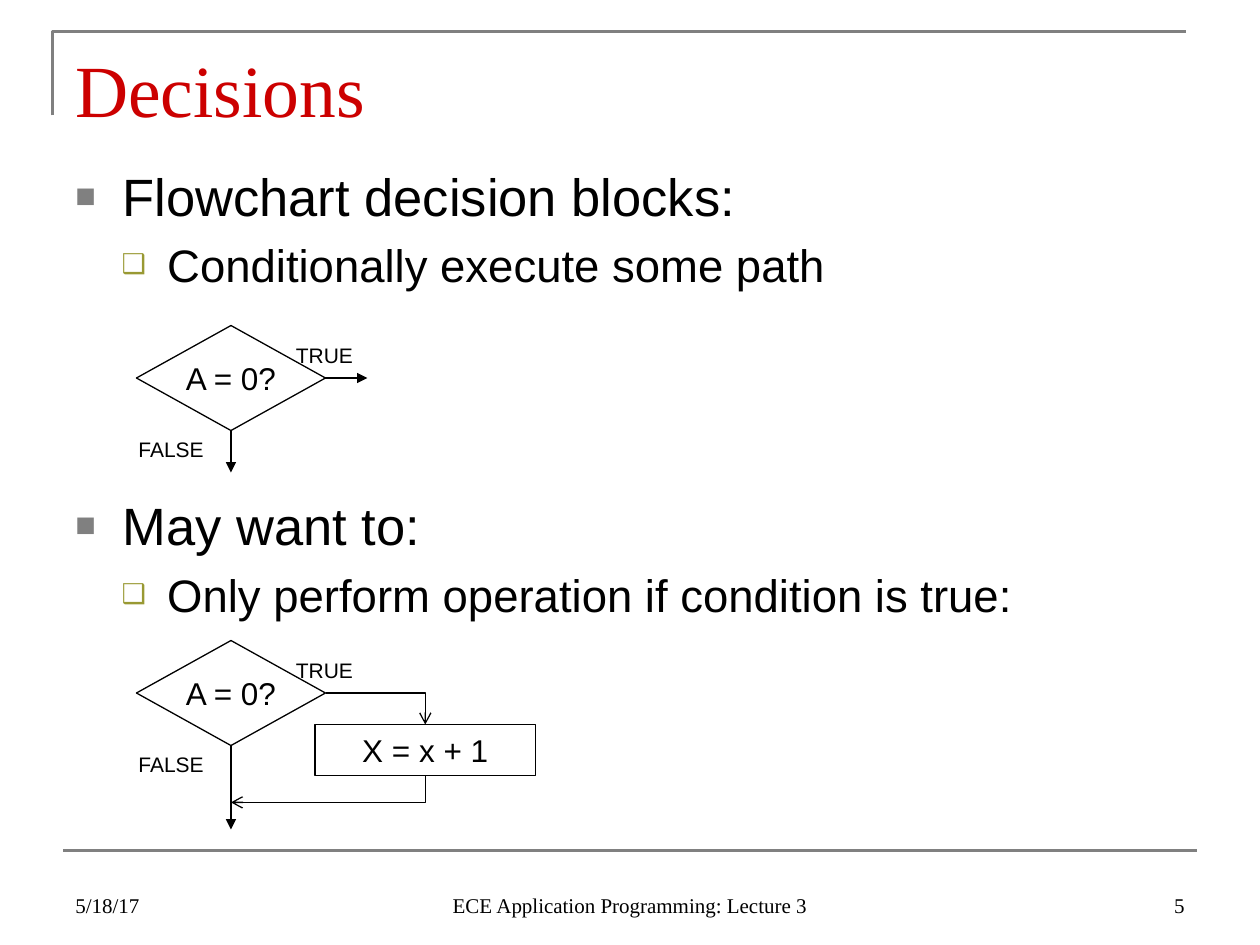
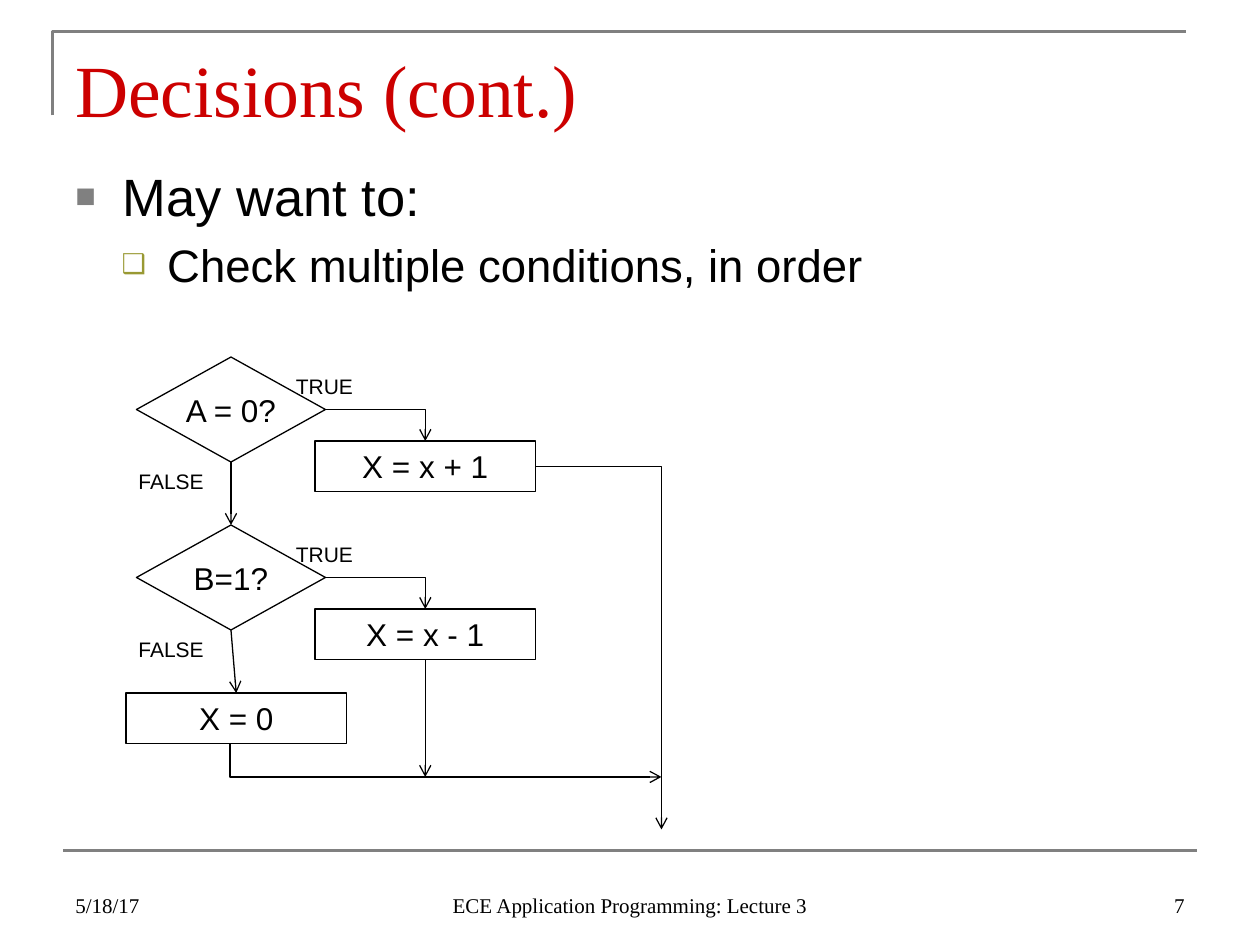
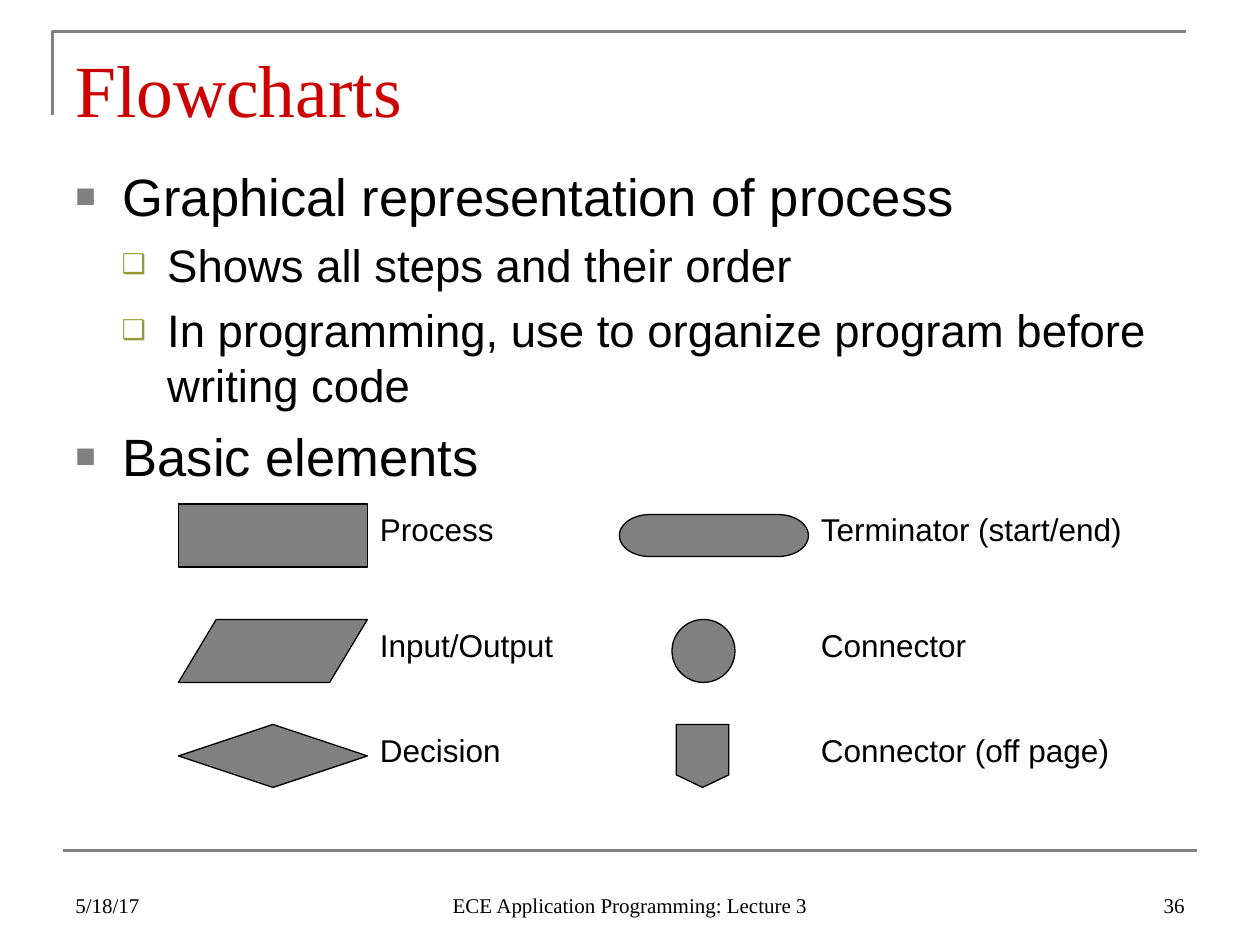
from lxml.etree import SubElement
from pptx import Presentation
from pptx.dml.color import RGBColor
from pptx.enum.shapes import MSO_CONNECTOR, MSO_SHAPE
from pptx.enum.text import MSO_ANCHOR, PP_ALIGN
from pptx.oxml.ns import qn
from pptx.util import Pt

COLORS = {"title": "CC0000", "text": "000000", "gray": "808080", "olive": "999933"}
SANS, SERIF = "Arial", "Times New Roman"
BULLETS = [
    {"char": "■", "color": "gray", "scale": 65, "size": 30, "left": 27, "hang": 27, "before": 7},
    {"char": "❑", "color": "olive", "scale": 60, "size": 26, "left": 52.5, "hang": 26, "before": 6},
]
DATE, COURSE = "5/18/17", "ECE Application Programming: Lecture 3"
DECISION_LEFT, DECISION_WIDTH, DECISION_HEIGHT = 78, 108, 60
DECISION_X = DECISION_LEFT + DECISION_WIDTH / 2
ACTION_LEFT, ACTION_WIDTH, ACTION_HEIGHT = 180, 126, 29
ACTION_X = ACTION_LEFT + ACTION_WIDTH / 2


def color(name):
    return RGBColor.from_string(COLORS[name])


def style(para, size, font=SANS, tint="text", align=PP_ALIGN.LEFT):
    para.alignment = align
    for span in para.runs:
        span.font.size = Pt(size)
        span.font.name = font
        span.font.color.rgb = color(tint)


def add_text(slide, text, left, top, width, height, size, font=SANS, tint="text",
             align=PP_ALIGN.LEFT, anchor=MSO_ANCHOR.TOP):
    box = slide.shapes.add_textbox(Pt(left), Pt(top), Pt(width), Pt(height))
    frame = box.text_frame
    frame.word_wrap = True
    frame.vertical_anchor = anchor
    frame.text = text
    style(frame.paragraphs[0], size, font, tint, align)


def add_bullet(para, level):
    bullet = BULLETS[level]
    properties = para._p.get_or_add_pPr()
    properties.set("marL", str(Pt(bullet["left"])))
    properties.set("indent", str(-Pt(bullet["hang"])))
    tint = SubElement(properties, qn("a:buClr"))
    SubElement(tint, qn("a:srgbClr"), val=COLORS[bullet["color"]])
    SubElement(properties, qn("a:buSzPct"), val=str(bullet["scale"] * 1000))
    SubElement(properties, qn("a:buFont"), typeface=SANS)
    SubElement(properties, qn("a:buChar"), char=bullet["char"])


def add_body(slide, items, gaps):
    box = slide.shapes.add_textbox(Pt(36), Pt(90), Pt(648), Pt(392))
    frame = box.text_frame
    frame.word_wrap = True
    for index, (level, text) in enumerate(items):
        para = frame.add_paragraph() if index else frame.paragraphs[0]
        para.text = text
        para.level = level
        add_bullet(para, level)
        if index:
            para.space_before = Pt(gaps.get(index, BULLETS[level]["before"]))
        style(para, BULLETS[level]["size"])


def add_block(slide, kind, left, top, width, height, text="", fill=None,
              anchor=MSO_ANCHOR.MIDDLE):
    block = slide.shapes.add_shape(kind, Pt(left), Pt(top), Pt(width), Pt(height))
    block.shadow.inherit = False
    if fill:
        block.fill.solid()
        block.fill.fore_color.rgb = color(fill)
    else:
        block.fill.background()
    block.line.color.rgb = color("text")
    block.line.width = Pt(0.75)
    if text:
        frame = block.text_frame
        frame.word_wrap = False
        frame.vertical_anchor = anchor
        frame.text = text
        style(frame.paragraphs[0], 18, align=PP_ALIGN.CENTER)


def add_line(slide, start, end, tip=None, kind=MSO_CONNECTOR.STRAIGHT, tint="text", width=0.75):
    points = [Pt(value) for value in (*start, *end)]
    line = slide.shapes.add_connector(kind, *points)
    line.line.color.rgb = color(tint)
    line.line.width = Pt(width)
    SubElement(line._element.spPr, qn("a:effectLst"))
    if tip:
        SubElement(line.line._get_or_add_ln(), qn("a:tailEnd"), type=tip)
    return line


def add_across_then_down(slide, start, end):
    line = add_line(slide, start, end, "arrow", MSO_CONNECTOR.ELBOW)
    line._element.spPr.find(qn("a:prstGeom")).set("prst", "bentConnector2")


def add_down_then_across(slide, start, end):
    line = add_line(slide, start, end, "arrow", MSO_CONNECTOR.ELBOW)
    geometry = line._element.spPr.find(qn("a:prstGeom"))
    guides = geometry.find(qn("a:avLst"))
    if guides is None:
        guides = SubElement(geometry, qn("a:avLst"))
    SubElement(guides, qn("a:gd"), name="adj1", fmla="val -200")


def add_action(slide, text, left, top):
    add_block(slide, MSO_SHAPE.RECTANGLE, left, top, ACTION_WIDTH, ACTION_HEIGHT, text,
              anchor=MSO_ANCHOR.TOP)


def add_decision(slide, question, top, action=None):
    add_block(slide, MSO_SHAPE.FLOWCHART_DECISION, DECISION_LEFT, top,
              DECISION_WIDTH, DECISION_HEIGHT, question)
    add_text(slide, "TRUE", 162, top + 6, 48, 21.6, 12)
    add_text(slide, "FALSE", 72, top + DECISION_HEIGHT, 54, 21.6, 12)
    corner = (DECISION_LEFT + DECISION_WIDTH, top + DECISION_HEIGHT / 2)
    if action:
        add_action(slide, action, ACTION_LEFT, top + 48)
        add_across_then_down(slide, corner, (ACTION_X, top + 48))
    else:
        add_line(slide, corner, (corner[0] + 24, corner[1]), "triangle")


def add_page(deck, title, number, items, gaps={}):
    slide = deck.slides.add_slide(deck.slide_layouts[6])
    builder = slide.shapes.build_freeform(Pt(30), Pt(66))
    builder.add_line_segments([(Pt(30), Pt(18)), (Pt(678), Pt(18))], close=False)
    bracket = builder.convert_to_shape()
    bracket.shadow.inherit = False
    bracket.fill.background()
    bracket.line.color.rgb = color("gray")
    bracket.line.width = Pt(1.5)
    add_line(slide, (36, 486), (684, 486), tint="gray", width=1.5)
    add_text(slide, title, 36, 21.6, 648, 56, 42, SERIF, "title")
    add_body(slide, items, gaps)
    footers = [
        (DATE, 36, 168, PP_ALIGN.LEFT),
        (COURSE, 246, 228, PP_ALIGN.CENTER),
        (str(number), 516, 168, PP_ALIGN.RIGHT),
    ]
    for text, left, width, align in footers:
        add_text(slide, text, left, 492, width, 36, 12, SERIF, align=align,
                 anchor=MSO_ANCHOR.BOTTOM)
    return slide


def build_decisions(deck):
    slide = add_page(deck, "Decisions", 5, [
        (0, "Flowchart decision blocks:"),
        (1, "Conditionally execute some path"),
        (0, "May want to:"),
        (1, "Only perform operation if condition is true:"),
    ], gaps={2: 115})
    add_decision(slide, "A = 0?", 186)
    add_line(slide, (DECISION_X, 246), (DECISION_X, 270), "triangle")
    add_decision(slide, "A = 0?", 366, "X = x + 1")
    add_line(slide, (DECISION_X, 426), (DECISION_X, 474), "triangle")
    add_down_then_across(slide, (ACTION_X, 443), (DECISION_X, 458.5))


def build_condition_chain(deck):
    slide = add_page(deck, "Decisions (cont.)", 7, [
        (0, "May want to:"),
        (1, "Check multiple conditions, in order"),
    ])
    exit_x, merge_y = 378, 444
    add_decision(slide, "A = 0?", 204, "X = x + 1")
    add_across_then_down(slide, (ACTION_LEFT + ACTION_WIDTH, 266.5), (exit_x, 474))
    add_line(slide, (DECISION_X, 264), (DECISION_X, 300), "arrow")
    add_decision(slide, "B=1?", 300, "X = x - 1")
    add_line(slide, (ACTION_X, 377), (ACTION_X, merge_y), "arrow")
    add_action(slide, "X = 0", 72, 396)
    add_line(slide, (DECISION_X, 360), (72 + ACTION_WIDTH / 2, 396), "arrow")
    add_down_then_across(slide, (DECISION_X, 425), (exit_x, merge_y))


def build_flowcharts(deck):
    slide = add_page(deck, "Flowcharts", 36, [
        (0, "Graphical representation of process"),
        (1, "Shows all steps and their order"),
        (1, "In programming, use to organize program before writing code"),
        (0, "Basic elements"),
    ])
    elements = [
        ("Process", MSO_SHAPE.FLOWCHART_PROCESS, 102, 288, 108, 36),
        ("Input/Output", MSO_SHAPE.FLOWCHART_DATA, 102, 354, 108, 36),
        ("Decision", MSO_SHAPE.FLOWCHART_DECISION, 102, 414, 108, 36),
        ("Terminator (start/end)", MSO_SHAPE.FLOWCHART_TERMINATOR, 354, 294, 108, 24),
        ("Connector", MSO_SHAPE.FLOWCHART_CONNECTOR, 384, 354, 36, 36),
        ("Connector (off page)", MSO_SHAPE.FLOWCHART_OFFPAGE_CONNECTOR, 386.5, 414, 30, 36),
    ]
    label_tops = [288, 354, 414]
    for index, (name, kind, left, top, width, height) in enumerate(elements):
        column, row = divmod(index, 3)
        add_block(slide, kind, left, top, width, height, fill="gray")
        add_text(slide, name, 210 + 252 * column, label_tops[row], 162 + 60 * column, 36, 18)


def main():
    deck = Presentation()
    deck.slide_width, deck.slide_height = Pt(720), Pt(540)
    build_decisions(deck)
    build_condition_chain(deck)
    build_flowcharts(deck)
    deck.save("out.pptx")


if __name__ == "__main__":
    main()
